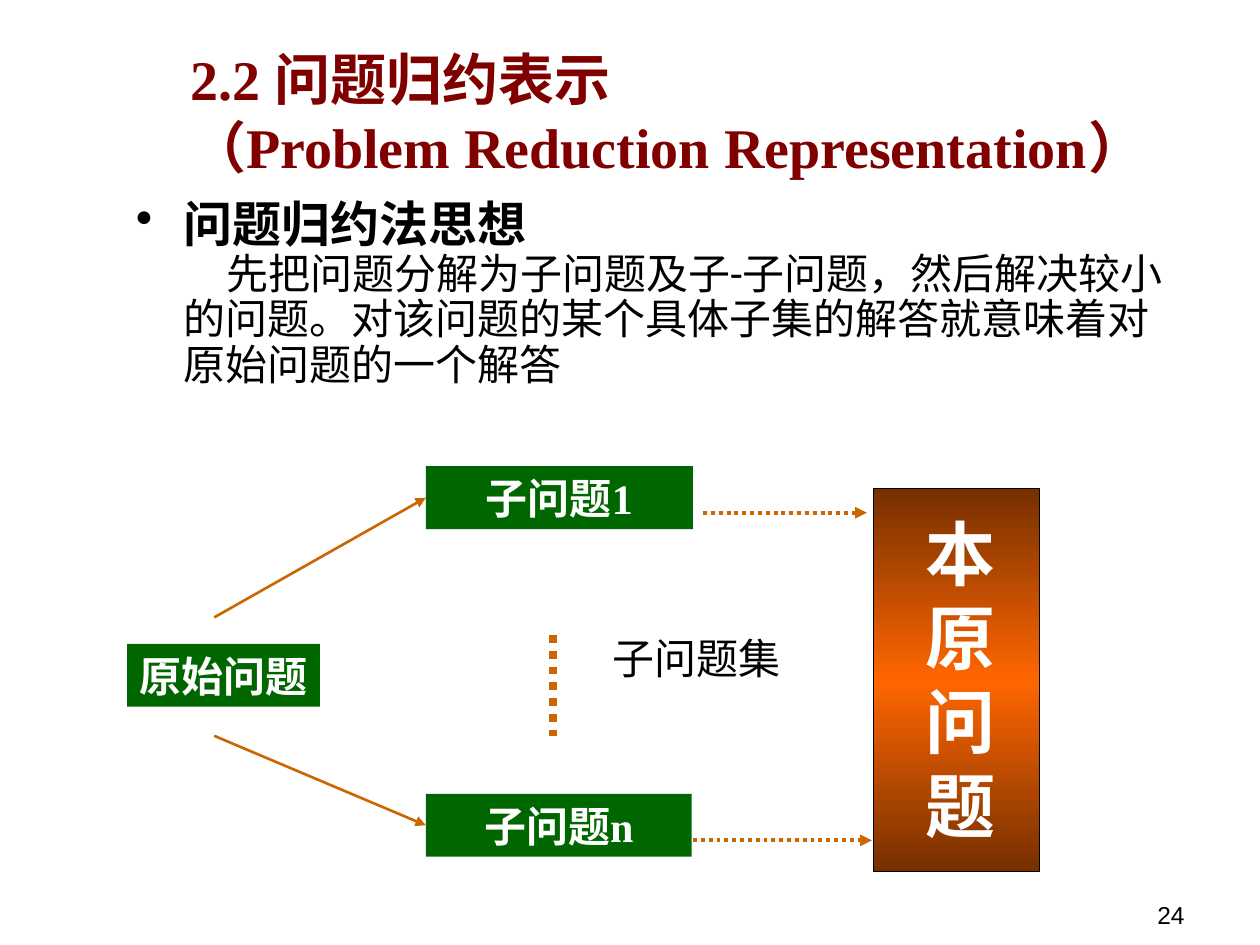
from copy import deepcopy

from pptx import Presentation
from pptx.dml.color import RGBColor
from pptx.enum.dml import MSO_LINE
from pptx.enum.shapes import MSO_CONNECTOR, MSO_SHAPE
from pptx.enum.text import MSO_ANCHOR, PP_ALIGN
from pptx.oxml.ns import qn
from pptx.oxml.xmlchemy import OxmlElement
from pptx.util import Inches, Pt

SERIF, CJK = "Times New Roman", "Noto Sans CJK JP"
BLACK, WHITE, MAROON = "000000", "FFFFFF", "800000"
GREEN, ORANGE, BROWN, BRIGHT = "006600", "CC6600", "762F00", "FF6600"
LEFT_SIDE = 1


def rgb(color):
    return RGBColor.from_string(color)


def add_child(parent, tag, **attributes):
    child = OxmlElement(tag)
    for name, value in attributes.items():
        child.set(name, value)
    parent.append(child)
    return child


class SlideBuilder:
    """Holds the slide and draws each kind of element on it."""

    def __init__(self, slide):
        self.slide = slide

    def format_runs(self, paragraph, size, color, font=SERIF, bold=False):
        for run in paragraph.runs:
            run.font.name = font
            run.font.size = Pt(size)
            run.font.bold = bold
            run.font.color.rgb = rgb(color)
            add_child(run._r.get_or_add_rPr(), "a:ea", typeface=CJK)

    def text(self, box, text, size, color, align=PP_ALIGN.LEFT,
             anchor=MSO_ANCHOR.TOP, wrap=True, **font):
        shape = self.slide.shapes.add_textbox(*map(Inches, box))
        frame = shape.text_frame
        frame.word_wrap = wrap
        frame.vertical_anchor = anchor
        frame.text = text
        for paragraph in frame.paragraphs:
            paragraph.alignment = align
            self.format_runs(paragraph, size, color, **font)
        return frame

    def rectangle(self, box, color):
        shape = self.slide.shapes.add_shape(MSO_SHAPE.RECTANGLE, *map(Inches, box))
        shape.shadow.inherit = False
        shape.fill.solid()
        shape.fill.fore_color.rgb = rgb(color)
        shape.line.fill.background()
        return shape

    def label_box(self, box, text, wrap=True, font=SERIF):
        shape = self.rectangle(box, GREEN)
        frame = shape.text_frame
        frame.word_wrap = wrap
        frame.text = text
        frame.paragraphs[0].alignment = PP_ALIGN.CENTER
        self.format_runs(frame.paragraphs[0], 24, WHITE, font=font, bold=True)
        return shape

    def gradient_box(self, box, edge, middle):
        """Rectangle shaded from edge colour to middle colour and back."""
        shape = self.rectangle(box, edge)
        shape.line.color.rgb = rgb(BLACK)
        shape.line.width = Pt(0.75)
        shape.fill.gradient()
        shape.fill.gradient_angle = 90
        stop_list = shape._element.spPr.find(qn("a:gradFill")).find(qn("a:gsLst"))
        stop_list.insert(1, deepcopy(stop_list[0]))
        for stop, position, color in zip(shape.fill.gradient_stops,
                                         (0, 0.5, 1), (edge, middle, edge)):
            stop.position = position
            stop.color.rgb = rgb(color)

    def line(self, start, end, width, dotted=False, arrow=True, target=None):
        connector = self.slide.shapes.add_connector(
            MSO_CONNECTOR.STRAIGHT, *map(Inches, start + end))
        connector.line.color.rgb = rgb(ORANGE)
        connector.line.width = Pt(width)
        if dotted:
            connector.line.dash_style = MSO_LINE.ROUND_DOT
        if arrow:
            add_child(connector.line._get_or_add_ln(), "a:tailEnd", type="triangle")
        add_child(connector._element.spPr, "a:effectLst")
        if target is not None:
            connector.end_connect(target, LEFT_SIDE)

    def body(self, box, heading, explanation):
        frame = self.text(box, f"{heading}\n{explanation}", 24, BLACK, font="Roboto")
        first_indents = (-0.38, 0.34)
        for paragraph, indent in zip(frame.paragraphs, first_indents):
            properties = paragraph._p.get_or_add_pPr()
            properties.set("marL", str(Inches(0.38)))
            properties.set("indent", str(Inches(indent)))
            paragraph.line_spacing = 0.9
        title = frame.paragraphs[0]
        add_child(title._p.get_or_add_pPr(), "a:buChar", char="•")
        for run in title.runs:
            run.font.size = Pt(28)
            run.font.bold = True


def main():
    presentation = Presentation()
    presentation.slide_width, presentation.slide_height = Inches(10), Inches(7.5)
    builder = SlideBuilder(presentation.slides.add_slide(presentation.slide_layouts[6]))

    number = builder.text((5.94, 7.14, 3.56, 0.24), "24", 14, BLACK,
                          align=PP_ALIGN.RIGHT, font="Arial")
    number.paragraphs[0].line_spacing = 0.8
    builder.text((1.41, 0.05, 8.59, 1.68),
                 "2.2 问题归约表示\v（Problem Reduction Representation）",
                 32, MAROON, anchor=MSO_ANCHOR.MIDDLE, bold=True)

    builder.gradient_box((6.93, 3.88, 1.32, 3.04), BROWN, BRIGHT)
    first = builder.label_box((3.38, 3.7, 2.12, 0.5), "子问题1")
    last = builder.label_box((3.38, 6.3, 2.11, 0.5), "子问题n")
    builder.line((1.7, 4.9), (3.38, 3.95), 1.5, target=first)
    builder.line((1.7, 5.84), (3.38, 6.55), 1.5, target=last)
    builder.line((4.39, 5.04), (4.39, 5.84), 4.5, dotted=True, arrow=False)
    builder.label_box((1.01, 5.11, 1.53, 0.5), "原始问题", wrap=False, font=CJK)
    builder.text((4.76, 4.97, 1.53, 0.5), "子问题集", 24, BLACK, wrap=False)
    builder.line((5.58, 4.07), (6.88, 4.07), 2.25, dotted=True)
    builder.line((5.5, 6.67), (6.92, 6.67), 2.25, dotted=True)
    builder.text((7.25, 4, 0.87, 2.77), "\n".join("本原问题"), 40, WHITE, bold=True)

    builder.body((0.98, 1.54, 8.49, 1.58), "问题归约法思想",
                 "先把问题分解为子问题及子-子问题，然后解决较小的问题。"
                 "对该问题的某个具体子集的解答就意味着对原始问题的一个解答")
    presentation.save("out.pptx")


if __name__ == "__main__":
    main()
